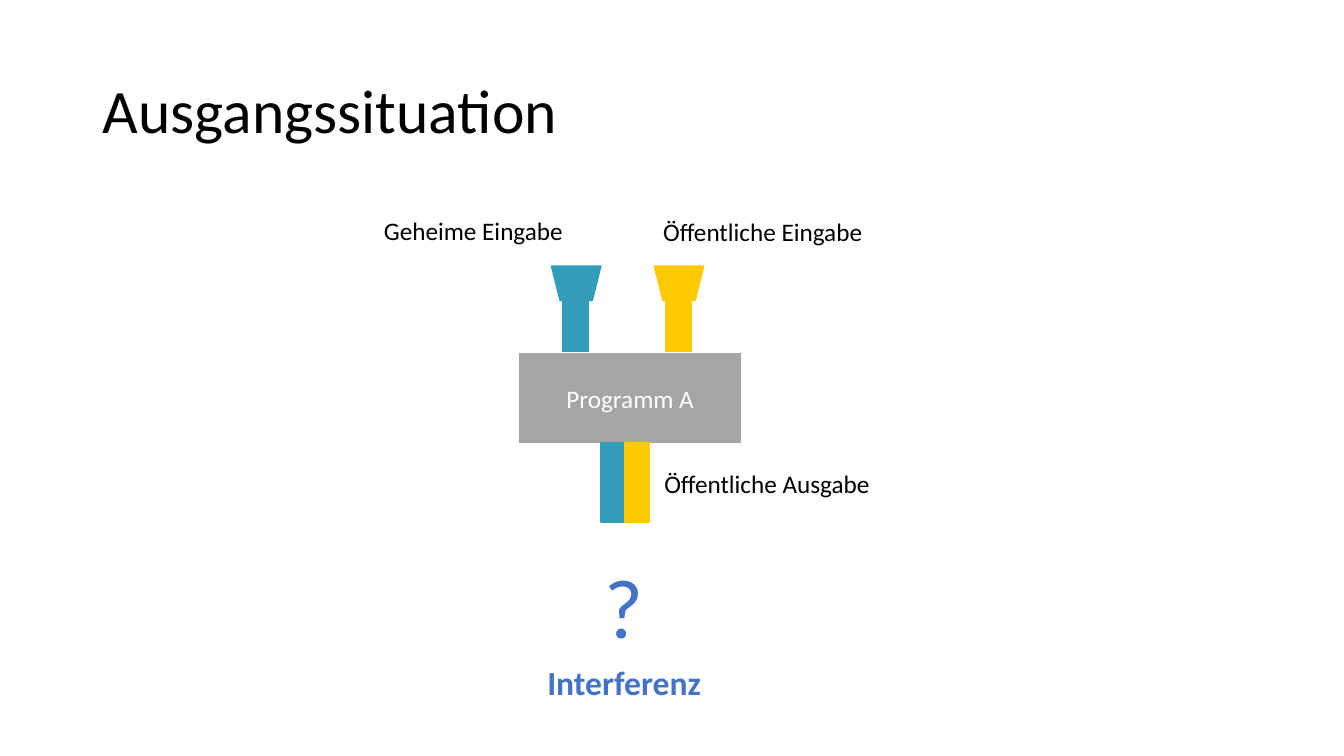
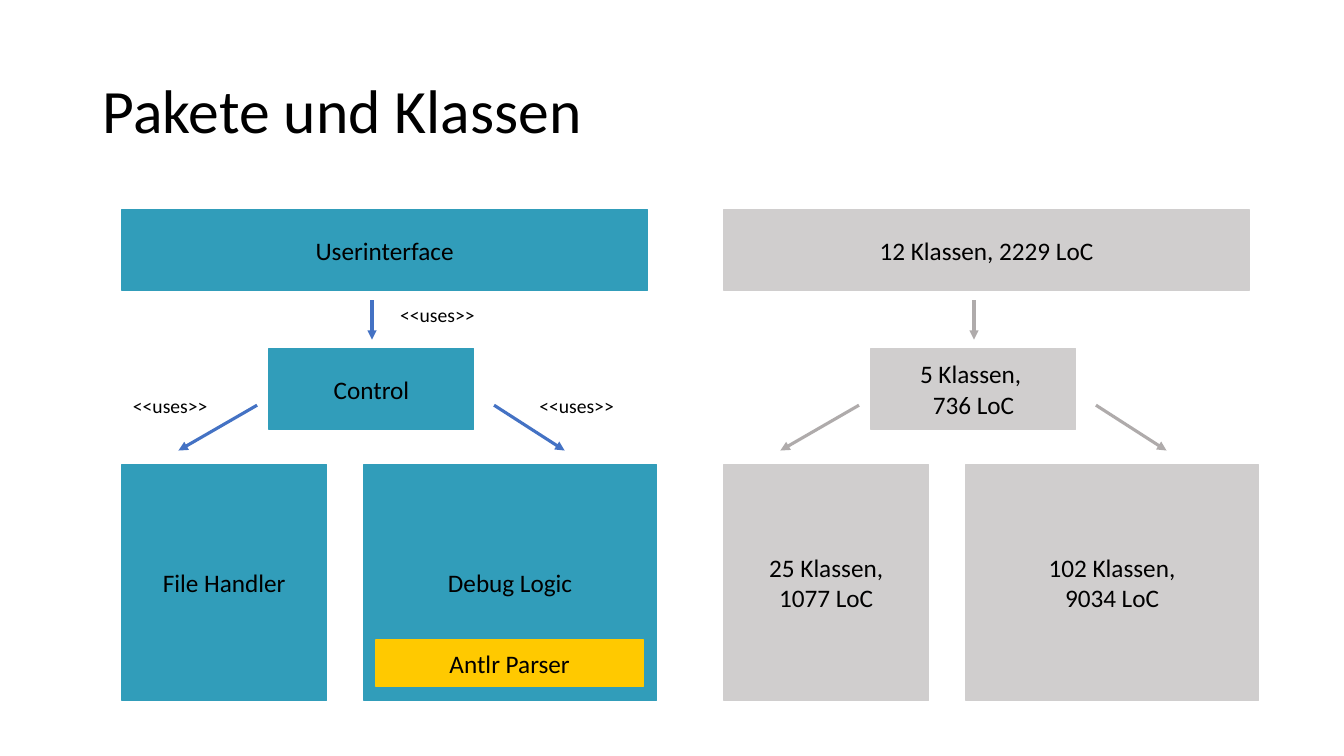
from lxml import etree
from pptx import Presentation
from pptx import util as u
from pptx.dml.color import RGBColor
from pptx.enum import shapes, text
from pptx.oxml.ns import qn

PX = 9144  # 100 px to the inch
FONT = "Calibri"
BLACK, WHITE = "000000", "FFFFFF"
TEAL, YELLOW, BLUE = "319DBA", "FFC900", "4472C4"
GRAY, LIGHT_GRAY, ARROW_GRAY = "A5A5A5", "D0CECE", "AFABAB"
RECT = shapes.MSO_SHAPE.RECTANGLE
TRAPEZOID = shapes.MSO_SHAPE.TRAPEZOID


def px(*values):
    return [u.Emu(v * PX) for v in values]


def rgb(color):
    return RGBColor.from_string(color)


def write(tf, lines, size, color, align=text.PP_ALIGN.LEFT, bold=False):
    """Fill a text frame with one paragraph per line."""
    for i, line in enumerate(lines):
        p = tf.add_paragraph() if i else tf.paragraphs[0]
        p.alignment = align
        r = p.add_run()
        r.text = line
        r.font.name = FONT
        r.font.size = u.Pt(size)
        r.font.bold = bold
        r.font.color.rgb = rgb(color)


def add_slide(prs, title):
    slide = prs.slides.add_slide(prs.slide_layouts[5])
    sp = slide.shapes.title
    sp.left, sp.top, sp.width, sp.height = px(92, 40, 1150, 145)
    tf = sp.text_frame
    tf.auto_size = text.MSO_AUTO_SIZE.NONE
    tf.vertical_anchor = text.MSO_ANCHOR.MIDDLE
    write(tf, [title], 44, BLACK)
    tf.paragraphs[0].line_spacing = 0.9
    return slide


def add_label(slide, box, label, size=18, color=BLACK, bold=False):
    tf = slide.shapes.add_textbox(*px(*box)).text_frame
    tf.word_wrap = False
    tf.auto_size = text.MSO_AUTO_SIZE.SHAPE_TO_FIT_TEXT
    write(tf, [label], size, color, bold=bold)


def add_box(slide, box, fill, lines=(), color=BLACK, line=None, width=1, kind=RECT):
    sp = slide.shapes.add_shape(kind, *px(*box))
    sp.shadow.inherit = False
    sp.fill.solid()
    sp.fill.fore_color.rgb = rgb(fill)
    sp.line.color.rgb = rgb(line or fill)
    sp.line.width = u.Pt(width)
    sp.text_frame.vertical_anchor = text.MSO_ANCHOR.MIDDLE
    write(sp.text_frame, lines, 18, color, text.PP_ALIGN.CENTER)
    return sp


def add_arrow(slide, ends, color):
    sp = slide.shapes.add_connector(shapes.MSO_CONNECTOR.STRAIGHT, *px(*ends))
    sp.line.color.rgb = rgb(color)
    sp.line.width = u.Pt(2.25)
    etree.SubElement(sp.line._get_or_add_ln(), qn("a:tailEnd"), type="triangle")
    etree.SubElement(sp._element.spPr, qn("a:effectLst"))


def add_inlet(slide, x, color):
    """A pipe with a funnel on top."""
    add_box(slide, (x, 298, 26, 51), color)
    add_box(slide, (x - 11, 264, 49, 34), color, kind=TRAPEZOID).rotation = 180


def add_packages(slide, x, fill, arrow, contents):
    """Four boxes joined by three arrows, with the left edge at x."""
    boxes = ((0, 208, 521, 80), (146, 346, 203, 80),
             (0, 461, 203, 234), (240, 461, 290, 234))
    for (dx, *rest), lines in zip(boxes, contents):
        add_box(slide, (x + dx, *rest), fill, lines)
    for x1, y1, x2, y2 in ((248, 298, 248, 337), (134, 402, 56, 447),
                           (369, 402, 439, 447)):
        add_arrow(slide, (x + x1, y1, x + x2, y2), arrow)


def build_situation(prs):
    slide = add_slide(prs, "Ausgangssituation")
    add_label(slide, (371, 209, 200, 40), "Geheime Eingabe")
    add_label(slide, (648, 210, 220, 40), "Öffentliche Eingabe")
    add_box(slide, (514, 349, 222, 92), GRAY, ["Programm A"], WHITE, WHITE, 1.5)
    for i, color in enumerate((TEAL, YELLOW)):
        add_inlet(slide, 558 + 102 * i, color)
        add_box(slide, (596 + 24 * i, 439, 24, 79), color)
    add_label(slide, (649, 460, 227, 40), "Öffentliche Ausgabe")
    add_label(slide, (590, 545, 59, 111), "?", 60, BLUE)
    add_label(slide, (533, 652, 174, 50), "Interferenz", 24, BLUE, True)


def build_packages(prs):
    slide = add_slide(prs, "Pakete und Klassen")
    add_packages(slide, 121, TEAL, BLUE, (
        ["Userinterface"], ["Control"], ["File Handler"], ["Debug Logic"]))
    add_box(slide, (373, 635, 265, 46), YELLOW, ["Antlr Parser"])
    for x, y in ((387, 296), (525, 386), (122, 386)):
        add_label(slide, (x, y, 95, 34), "<<uses>>", 14)
    add_packages(slide, 718, LIGHT_GRAY, ARROW_GRAY, (
        ["12 Klassen, 2229 LoC"], ["5 Klassen, ", "736 LoC"],
        ["25 Klassen,", "1077 LoC"], ["102 Klassen,", "9034 LoC"]))


def main():
    prs = Presentation()
    prs.slide_width, prs.slide_height = u.Inches(13.33), u.Inches(7.5)
    build_situation(prs)
    build_packages(prs)
    prs.save("out.pptx")


if __name__ == "__main__":
    main()
